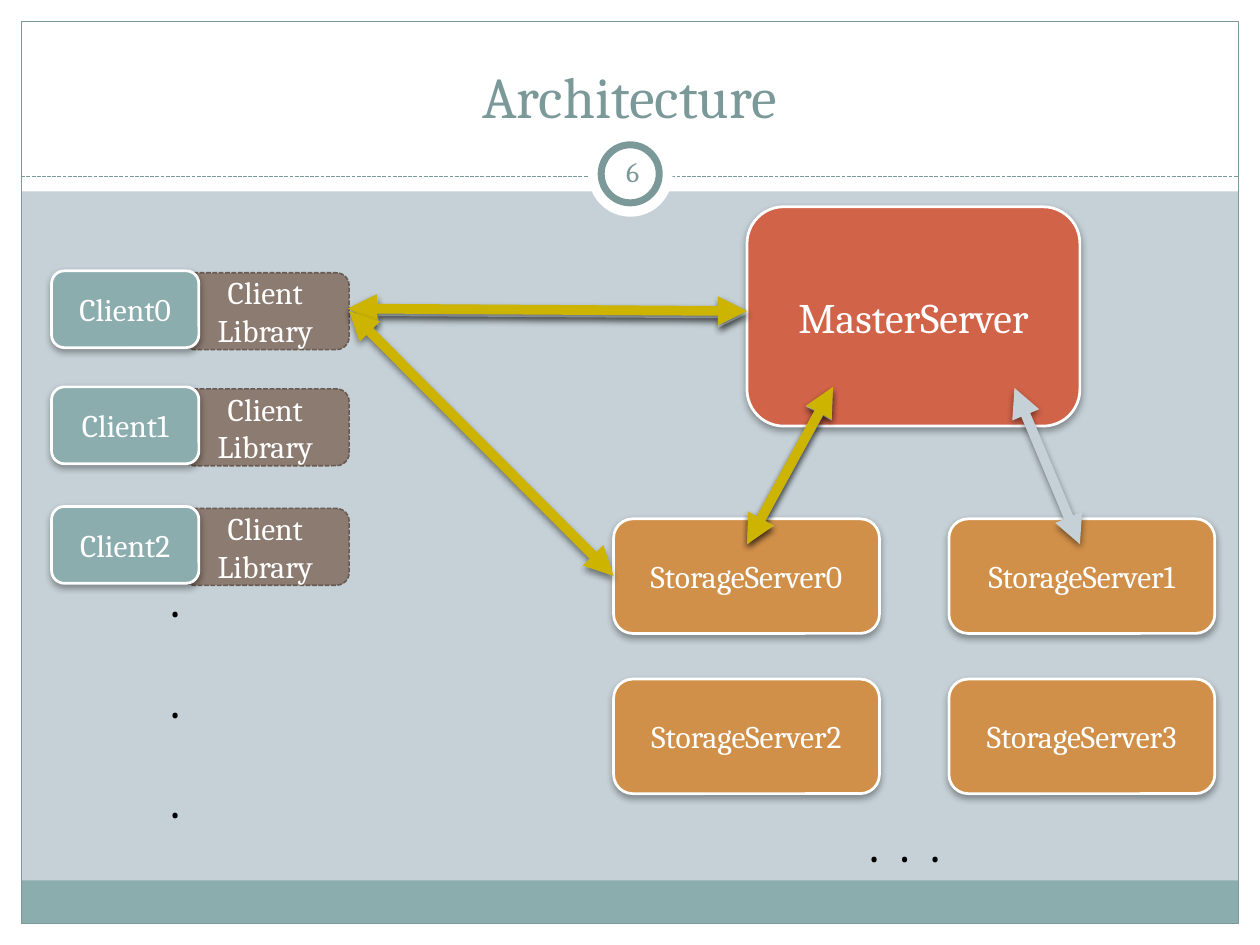
import pptx
import pptx.dml.color
import pptx.enum.dml
import pptx.enum.shapes
import pptx.enum.text
import pptx.oxml
import pptx.oxml.ns
import pptx.util

Cm, Pt = pptx.util.Cm, pptx.util.Pt
SHAPE = pptx.enum.shapes.MSO_SHAPE
ALIGN = pptx.enum.text.PP_ALIGN
FONT = "Cambria"
W, H, EDGE = 25.4, 19.05, 0.43
COLORS = {
    "background": "C5D1D7", "white": "FFFFFF", "black": "000000",
    "teal": "8CADAE", "slate": "7C999A", "red": "D16349",
    "orange": "D19049", "brown": "8C7B70", "dark brown": "685B53",
    "gold": "CCB400",
}

# Places are (left, top, width, height) in cm
FRAME = [
    ((0, H - EDGE, W, EDGE), "white"),
    ((0, 0, W, 3.86), "white"),
    ((0, 0, EDGE, H), "white"),
    ((W - EDGE, 0, EDGE, H), "white"),
    ((EDGE, 17.75, W - 2 * EDGE, 0.86), "teal"),
]
MASTER = ("MasterServer", (15.06, 4.17, 6.71, 4.42))
CLIENTS = [("Client0", 5.46), ("Client1", 7.8), ("Client2", 10.21)]
STORAGE = [["StorageServer0", "StorageServer1"],
           ["StorageServer2", "StorageServer3"]]
ARROWS = [
    ((15.06, 10.97), (16.79, 7.82), "background"),
    ((21.77, 10.97), (20.45, 7.82), "background"),
    ((7.04, 6.27), (15.06, 6.32), "background"),
    ((7.01, 6.22), (15.06, 6.27), "gold"),
    ((7.04, 6.27), (12.37, 11.61), "gold"),
    ((16.79, 7.8), (15.06, 10.97), "gold"),
]


def rgb(name):
    return pptx.dml.color.RGBColor.from_string(COLORS[name])


def set_effect(s, alpha=0):
    """Give s a soft shadow below it, or none when alpha is 0."""
    ns = pptx.oxml.ns.nsdecls("a")
    shadow = (
        '<a:outerShdw blurRad="50800" dist="25400" dir="5400000" '
        'algn="t" rotWithShape="0"><a:srgbClr val="000000">'
        f'<a:alpha val="{alpha * 1000}"/></a:srgbClr></a:outerShdw>'
    ) if alpha else ""
    s._element.spPr.append(
        pptx.oxml.parse_xml(f"<a:effectLst {ns}>{shadow}</a:effectLst>"))


def set_line(s, color, width, dashed=False):
    s.line.color.rgb = rgb(color)
    s.line.width = Pt(width)
    if dashed:
        s.line.dash_style = pptx.enum.dml.MSO_LINE.SQUARE_DOT


def set_text(s, lines, size, color, align=ALIGN.CENTER, anchor="MIDDLE",
             wrap=True):
    tf = s.text_frame
    tf.word_wrap = wrap
    tf.vertical_anchor = getattr(pptx.enum.text.MSO_ANCHOR, anchor)
    tf.text = "\n".join(lines)
    for p in tf.paragraphs:
        p.alignment = align
        p.font.name, p.font.size = FONT, Pt(size)
        p.font.color.rgb = rgb(color)
    return tf


def add_shape(kind, place, fill=None, line=None, shadow=0):
    s = slide.shapes.add_shape(kind, *map(Cm, place))
    if fill:
        s.fill.solid()
        s.fill.fore_color.rgb = rgb(fill)
    else:
        s.fill.background()
    if line:
        set_line(s, *line)
    else:
        s.line.fill.background()
    set_effect(s, shadow)
    return s


def add_box(lines, place, fill, size=18):
    s = add_shape(SHAPE.ROUNDED_RECTANGLE, place, fill, ("white", 1.57), 35)
    set_text(s, lines, size, "white")


def add_text(text, place, size, color, **style):
    s = slide.shapes.add_textbox(*map(Cm, place))
    return set_text(s, [text], size, color, **style)


def add_line(start, end, color, width, dashed=False):
    s = slide.shapes.add_connector(
        pptx.enum.shapes.MSO_CONNECTOR.STRAIGHT, *map(Cm, start + end))
    set_line(s, color, width, dashed)
    return s


prs = pptx.Presentation()
prs.slide_width, prs.slide_height = Cm(W), Cm(H)
slide = prs.slides.add_slide(prs.slide_layouts[6])
slide.background.fill.solid()
slide.background.fill.fore_color.rgb = rgb("background")

# Frame, title and number badge
for place, color in FRAME:
    add_shape(SHAPE.RECTANGLE, place, color)
add_shape(SHAPE.RECTANGLE, (EDGE, EDGE, W - 2 * EDGE, H - 2 * EDGE),
          line=("slate", 0.75))
set_effect(add_line((EDGE, 3.56), (W - EDGE, 3.56), "slate", 0.75, True))
add_shape(SHAPE.OVAL, (11.86, 2.67, 1.7, 1.7), "white")
add_shape(SHAPE.OVAL, (12.12, 2.92, 1.17, 1.17), "white", ("slate", 4))
add_text("Architecture", (0.84, 0.64, 23.7, 2.11), 33, "slate",
         anchor="BOTTOM")
tf = add_text("6", (12.12, 2.84, 1.27, 1.22), 16, "slate")
tf.margin_left = tf.margin_right = Cm(0.13)

# Servers and clients
add_box([MASTER[0]], MASTER[1], "red", 24)
for name, top in CLIENTS:
    s = add_shape(SHAPE.ROUNDED_RECTANGLE, (3.66, top + 0.04, 3.38, 1.55),
                  "brown", ("dark brown", 0.9, True))
    set_text(s, ["Client", "Library"], 18, "white")
    add_box([name], (1.04, top, 2.97, 1.55), "teal")
for row, names in enumerate(STORAGE):
    for col, name in enumerate(names):
        add_box([name], (12.37 + 6.76 * col, 10.46 + 3.23 * row, 5.36, 2.31),
                "orange")

# Dots for further clients (downwards) and further storage servers (across)
tf = add_text("", (3.18, 11.33, 1.7, 5.3), 28, "black", align=ALIGN.LEFT,
              wrap=False)
tf._txBody.bodyPr.set("vert", "wordArtVert")
for char in ". . .":
    r = tf.paragraphs[0].add_run()
    r.text = char
    r.font.size = Pt(20 if char == " " else 28)
tf = add_text(". . .", (17.27, 16.26, 2.29, 1.45), 28, "black",
              align=ALIGN.LEFT, wrap=False)
tf.paragraphs[0].runs[0].font._element.set("spc", "320")

# Two-way arrows
for start, end, color in ARROWS:
    s = add_line(start, end, color, 5.57)
    for tag in ("a:headEnd", "a:tailEnd"):
        s.line._get_or_add_ln().append(pptx.oxml.parse_xml(
            f'<{tag} {pptx.oxml.ns.nsdecls("a")} type="triangle"/>'))
    set_effect(s, 45)

prs.save("out.pptx")
